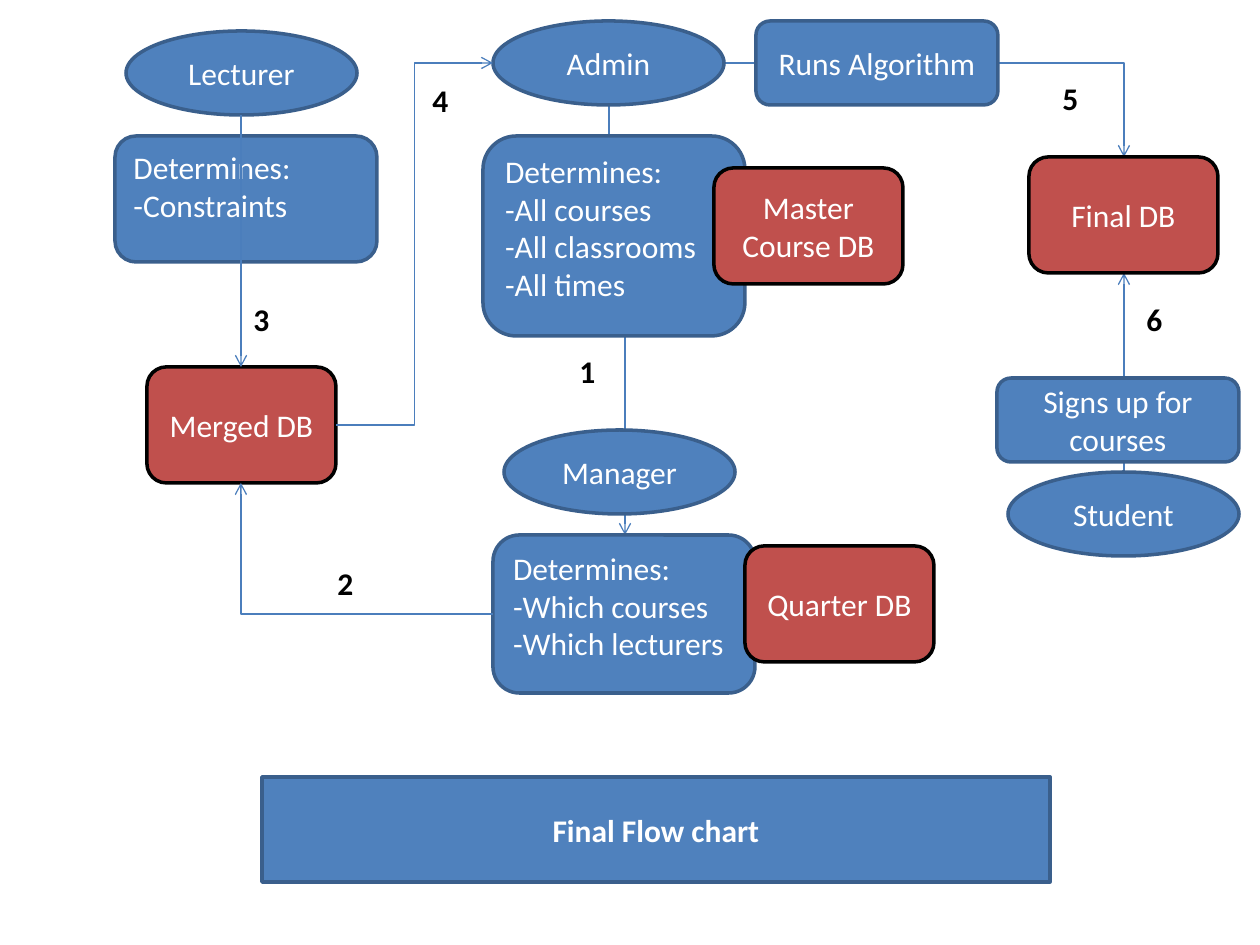
from pptx import Presentation
from pptx.dml.color import RGBColor
from pptx.enum.shapes import MSO_CONNECTOR, MSO_SHAPE
from pptx.enum.text import MSO_ANCHOR, MSO_AUTO_SIZE, PP_ALIGN
from pptx.oxml.ns import qn
from pptx.util import Pt
from lxml import etree

OVAL, ROUND, RECT = MSO_SHAPE.OVAL, MSO_SHAPE.ROUNDED_RECTANGLE, MSO_SHAPE.RECTANGLE
ELBOW = MSO_CONNECTOR.ELBOW
TOP, MIDDLE = MSO_ANCHOR.TOP, MSO_ANCHOR.MIDDLE
LEFT, CENTER = PP_ALIGN.LEFT, PP_ALIGN.CENTER
GROW = MSO_AUTO_SIZE.SHAPE_TO_FIT_TEXT

BLUE = RGBColor(0x4F, 0x81, 0xBD)
NAVY = RGBColor(0x3A, 0x5F, 0x8C)
STEEL = RGBColor(0x4B, 0x7E, 0xBC)
RED = RGBColor(0xC0, 0x50, 0x4D)
BLACK = RGBColor(0, 0, 0)
WHITE = RGBColor(0xFF, 0xFF, 0xFF)

PX = 914400 // 126

ROLES = [("Admin", 493, 21), ("Manager", 504, 430),
         ("Lecturer", 126, 31), ("Student", 1008, 472)]
TASKS = [
    ("Determines:\n-All courses\n-All classrooms\n-All times", 483, 136, 200),
    ("Determines:\n-Which courses\n-Which lecturers", 493, 535, 158),
    ("Determines:\n-Constraints", 115, 136, 126),
]
STORES = [("Merged DB", 147, 367), ("Master Course DB", 714, 168),
          ("Quarter DB", 745, 546), ("Final DB", 1029, 157)]
STEPS = [("Runs Algorithm", 756, 21), ("Signs up for courses", 997, 378)]
TITLE = ("Final Flow chart", 262, 777, 788, 105)
MARKS = [("1", 567, 346), ("2", 325, 558), ("3", 241, 294),
         ("4", 420, 75), ("5", 1050, 73), ("6", 1134, 294)]

BACK = [(609, 105, 625, 535, "down"), (724, 63, 1124, 157, "corner"),
        (1124, 472, 1124, 273, "up")]
FRONT = [(241, 115, 241, 367, "down"), (493, 614, 241, 483, "corner"),
         (336, 425, 493, 63, "across")]
TURNS = {"down": 90, "up": 270}

deck = Presentation()
deck.slide_width, deck.slide_height = 1260 * PX, 945 * PX
slide = deck.slides.add_slide(deck.slide_layouts[6])
shapes = slide.shapes


def write(shape, text, color, align, bold=False):
    frame = shape.text_frame
    frame.text = text
    for para in frame.paragraphs:
        para.alignment = align
        for run in para.runs:
            font = run.font
            font.name, font.size, font.bold = "Calibri", Pt(18), bold
            font.color.rgb = color


def node(kind, text, x, y, w, h, fill=BLUE, edge=NAVY,
         align=CENTER, anchor=MIDDLE, bold=False):
    shape = shapes.add_shape(kind, x * PX, y * PX, w * PX, h * PX)
    shape.shadow.inherit = False
    shape.fill.solid()
    shape.fill.fore_color.rgb = fill
    shape.line.color.rgb = edge
    shape.line.width = Pt(2)
    shape.text_frame.vertical_anchor = anchor
    write(shape, text, WHITE, align, bold)


def link(x1, y1, x2, y2, route):
    box = [x1, y1, x2, y2]
    if route in TURNS:
        mx, my = (x1 + x2) / 2, (y1 + y2) / 2
        dx, dy = (x2 - x1) / 2, abs(y2 - y1) / 2
        if route == "down":
            dx = -dx
        box = [mx - dy, my - dx, mx + dy, my + dx]
    line = shapes.add_connector(ELBOW, *(round(v * PX) for v in box))
    line.line.color.rgb = STEEL
    line.line.width = Pt(0.75)
    props = line._element.spPr
    if route in TURNS:
        props.find(qn("a:xfrm")).set("rot", str(TURNS[route] * 60000))
    if route == "corner":
        props.find(qn("a:prstGeom")).set("prst", "bentConnector2")
    etree.SubElement(props.find(qn("a:ln")), qn("a:tailEnd"), type="arrow")
    etree.SubElement(props, qn("a:effectLst"))


for path in BACK:
    link(*path)
for text, x, y in ROLES:
    node(OVAL, text, x, y, 231, 84)
for text, x, y, h in TASKS:
    node(ROUND, text, x, y, 262, h, align=LEFT, anchor=TOP)
for text, x, y in STORES:
    node(ROUND, text, x, y, 189, 116, RED, BLACK)
for path in FRONT:
    link(*path)
for text, x, y in STEPS:
    node(ROUND, text, x, y, 242, 84)
node(RECT, *TITLE, bold=True)

for text, x, y in MARKS:
    mark = shapes.add_textbox(x * PX, y * PX, 42 * PX, 50 * PX)
    mark.text_frame.word_wrap = False
    mark.text_frame.auto_size = GROW
    write(mark, text, BLACK, LEFT, True)

deck.save("out.pptx")
